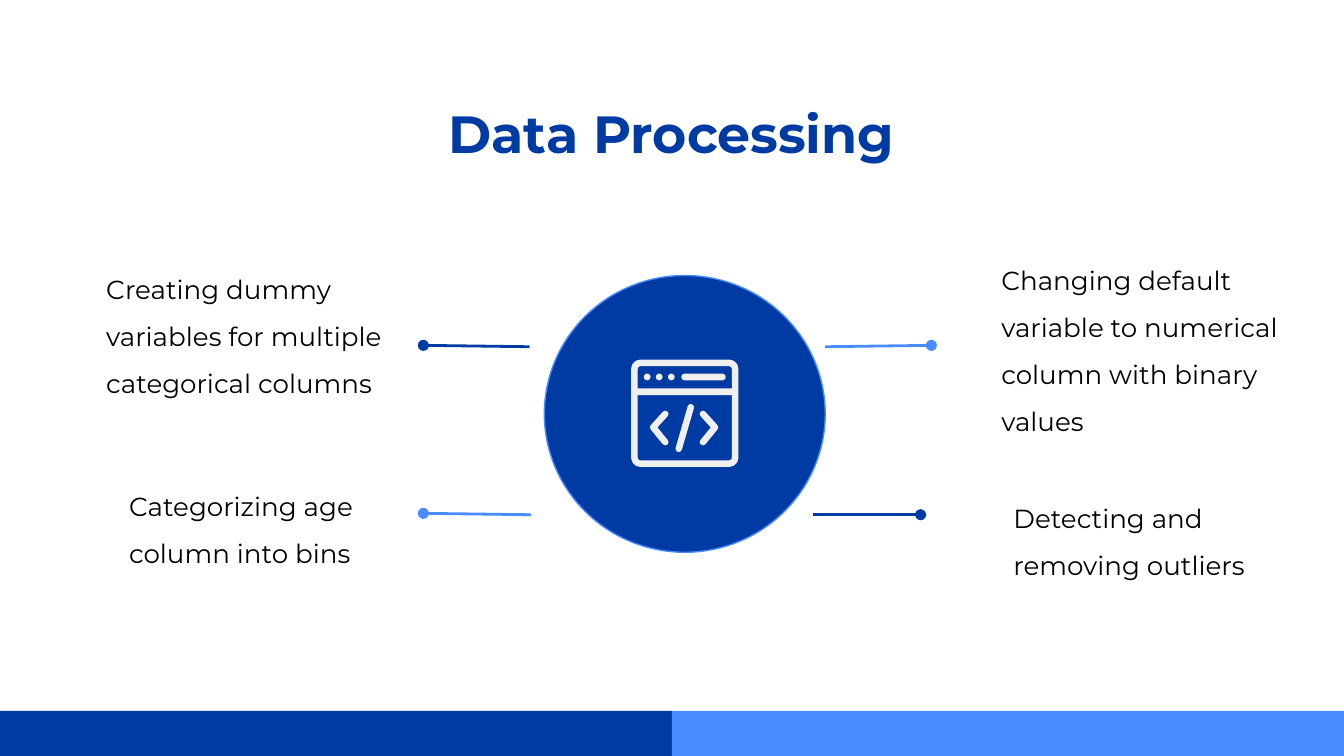
"""Build the Data Processing slide: four steps around a central code icon."""
from lxml import etree
from pptx import Presentation
from pptx import util as u
from pptx.dml.color import RGBColor
from pptx.enum import shapes, text
from pptx.oxml import ns

COLORS = {"navy": "003BA3", "sky": "4A8CFF", "black": "000000", "icon": "EFEFEF"}
FONT = "Montserrat"
STROKE = 3.5


def color(name):
    return RGBColor.from_string(COLORS[name])


def add_element(parent, tag, **attributes):
    return etree.SubElement(parent, ns.qn(tag), attributes)


def write_text(frame, wording, size=14, ink="black", bold=False,
               align=text.PP_ALIGN.LEFT, indent=0.0):
    frame.word_wrap = True
    frame.auto_size = text.MSO_AUTO_SIZE.NONE
    frame.vertical_anchor = text.MSO_ANCHOR.TOP
    frame.margin_left = frame.margin_right = u.Inches(0.1)
    frame.margin_top = frame.margin_bottom = u.Inches(0.1)
    para = frame.paragraphs[0]
    properties = para._p.get_or_add_pPr()
    properties.set("marL", str(u.Inches(indent)))
    properties.set("indent", "0")
    add_element(properties, "a:buNone")
    para.alignment = align
    para.line_spacing = 1.5
    para.space_before = u.Pt(0)
    span = para.add_run()
    span.text = wording
    span.font.name = FONT
    span.font.size = u.Pt(size)
    span.font.bold = bold
    span.font.color.rgb = color(ink)


class SlideBuilder:
    """Holds the style and the current slide."""

    def __init__(self, deck):
        self.page = deck.slides.add_slide(deck.slide_layouts[4])
        self.shapes = self.page.shapes

    def placeholder(self, index, wording, place, **style):
        box = self.page.placeholders[index]
        box.left, box.top, box.width, box.height = map(u.Inches, place)
        write_text(box.text_frame, wording, **style)

    def shape(self, kind, place, fill=None, line=None, width=0.75, rounding=None):
        shape = self.shapes.add_shape(kind, *map(u.Inches, place))
        shape.shadow.inherit = False
        if rounding is not None:
            shape.adjustments[0] = rounding
        if fill:
            shape.fill.solid()
            shape.fill.fore_color.rgb = color(fill)
        else:
            shape.fill.background()
        if line:
            shape.line.color.rgb = color(line)
            shape.line.width = u.Pt(width)
        else:
            shape.line.fill.background()

    def line(self, start, end, ink, width=1.5, dot=True):
        ends = map(u.Inches, (*start, *end))
        line = self.shapes.add_connector(shapes.MSO_CONNECTOR.STRAIGHT, *ends)
        line.line.color.rgb = color(ink)
        line.line.width = u.Pt(width)
        outline = line.get_or_add_ln()
        if dot:
            add_element(outline, "a:tailEnd", type="oval")
        else:
            outline.set("cap", "rnd")
        add_element(line._element.spPr, "a:effectLst")

    def chevron(self, points, ink):
        start, *rest = [tuple(map(u.Inches, point)) for point in points]
        builder = self.shapes.build_freeform(*start)
        builder.add_line_segments(rest, close=False)
        chevron = builder.convert_to_shape()
        chevron.shadow.inherit = False
        chevron.fill.background()
        chevron.line.color.rgb = color(ink)
        chevron.line.width = u.Pt(STROKE)
        outline = chevron.get_or_add_ln()
        outline.set("cap", "rnd")
        add_element(outline, "a:round")

    def code_icon(self):
        kinds = shapes.MSO_SHAPE
        self.shape(kinds.ROUNDED_RECTANGLE, (4.72, 2.7, 0.75, 0.75),
                   line="icon", width=STROKE, rounding=0.06)
        self.shape(kinds.RECTANGLE, (4.72, 2.89, 0.75, 0.05), fill="icon")
        for column in range(3):
            self.shape(kinds.OVAL, (4.79 + column * 0.09, 2.78, 0.05, 0.05), fill="icon")
        self.shape(kinds.ROUNDED_RECTANGLE, (5.07, 2.78, 0.33, 0.05),
                   fill="icon", rounding=0.5)
        for side in (-1, 1):
            inner, tip = 5.09 + side * 0.14, 5.09 + side * 0.23
            self.chevron([(inner, 3.08), (tip, 3.18), (inner, 3.29)], "icon")
        self.line((5.14, 3.03), (5.05, 3.34), "icon", width=STROKE, dot=False)


def main():
    deck = Presentation()
    deck.slide_width = u.Inches(10)
    deck.slide_height = deck.slide_width * 9 // 16
    slide = SlideBuilder(deck)
    kinds = shapes.MSO_SHAPE

    for left, fill in ((0, "navy"), (5, "sky")):
        slide.shape(kinds.RECTANGLE, (left, 5.29, 5, 0.34), fill=fill)

    slide.placeholder(0, "Data Processing", (0.78, 0.42, 8.43, 1.02), size=28,
                      ink="navy", bold=True, align=text.PP_ALIGN.CENTER)
    steps = [
        ("Creating dummy variables for multiple categorical columns", 0.19, 1.82, 1.17),
        ("Categorizing age column into bins", 0.36, 3.43, 1.3),
        ("Changing default variable to numerical column with binary values",
         6.85, 1.75, 1.55),
        ("Detecting and removing outliers", 6.94, 3.52, 1.3),
    ]
    for index, (wording, left, top, height) in enumerate(steps, start=1):
        slide.placeholder(index, wording, (left, top, 3.04, height), indent=0.5)

    pointers = [
        ((3.94, 2.58), (3.15, 2.57), "navy"),
        ((3.95, 3.83), (3.15, 3.82), "sky"),
        ((6.14, 2.58), (6.93, 2.57), "sky"),
        ((6.05, 3.83), (6.85, 3.83), "navy"),
    ]
    for start, end, ink in pointers:
        slide.line(start, end, ink)

    slide.shape(kinds.OVAL, (4.05, 2.05, 2.09, 2.06), fill="navy", line="sky")
    slide.code_icon()
    deck.save("out.pptx")


if __name__ == "__main__":
    main()
